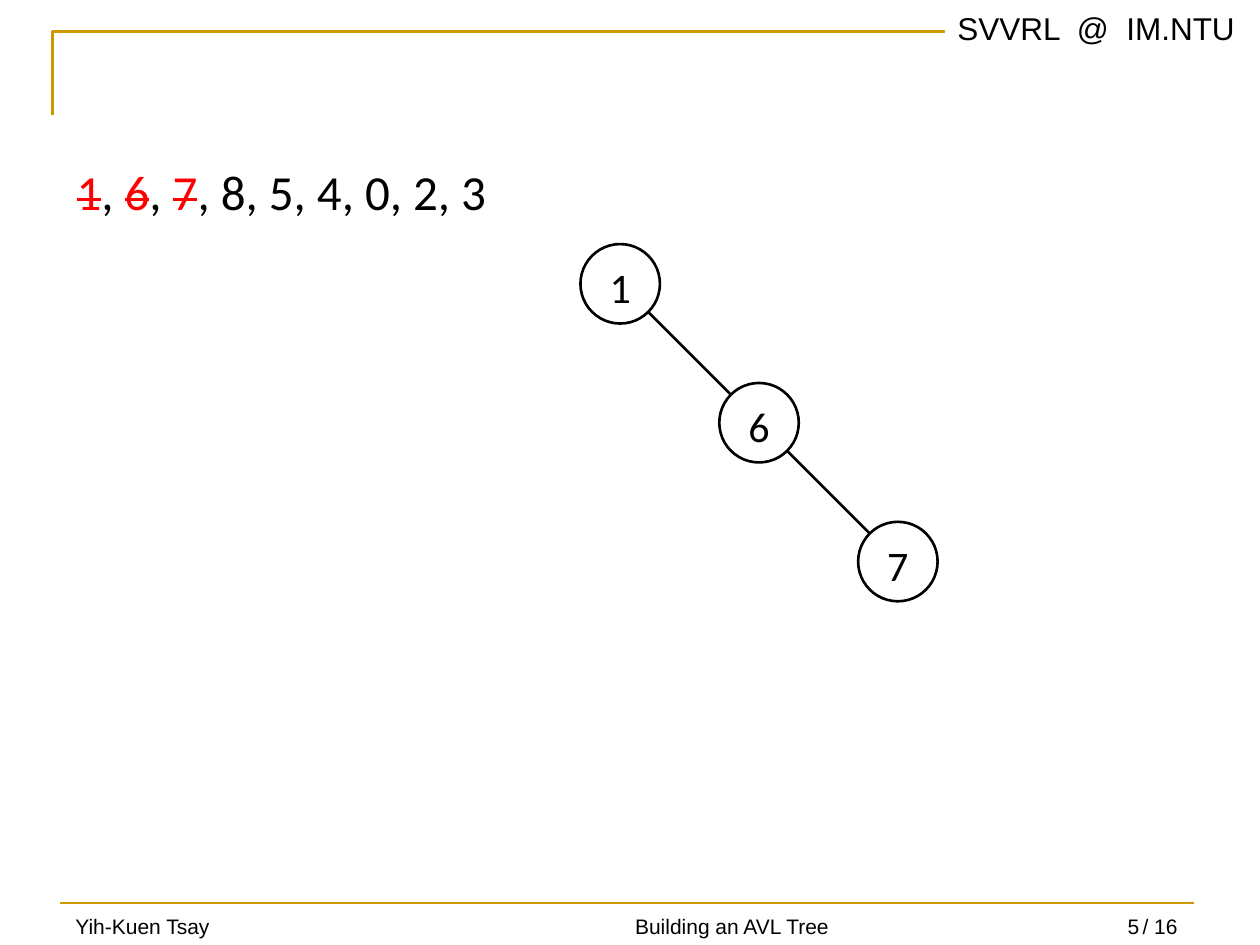
import math

import pptx
import pptx.dml.color
import pptx.enum.shapes
import pptx.enum.text
import pptx.oxml.ns
import pptx.util
from lxml import etree

Pt = pptx.util.Pt
RGB = pptx.dml.color.RGBColor.from_string
ALIGN = pptx.enum.text.PP_ALIGN
ANCHOR = pptx.enum.text.MSO_ANCHOR

INSERTED = ["1", "6", "7"]
PENDING = ["8", "5", "4", "0", "2", "3"]
HEADER = "SVVRL  @  IM.NTU"
# text, left, top, width, height, alignment, anchor, wrap
FOOTERS = [
    ("/ 16", 645.8, 518.4, 34.6, 21.6, ALIGN.LEFT, ANCHOR.TOP, False),
    ("Yih-Kuen Tsay", 36, 516, 178, 24, ALIGN.LEFT, ANCHOR.BOTTOM, True),
    ("Building an AVL Tree", 224.6, 516, 387.4, 24, ALIGN.CENTER, ANCHOR.BOTTOM, True),
    ("5", 622.8, 516, 35.3, 24, ALIGN.RIGHT, ANCHOR.BOTTOM, True),
]
CORNER_RULE = [(30, 66), (30, 18), (678, 18)]
FOOTER_RULE = [(34.5, 516), (682.5, 516)]

ROOT_CENTER = (354.4, 162.2)
NODE_STEP = 79.35
NODE_SIZE = 45.4

THEME = {
    "rule": "CC9900", "ink": "000000", "paper": "FFFFFF", "done": "FF0000",
    "frame_font": "Arial", "body_font": "Calibri",
    "header": 18, "footer": 12, "keys": 28, "node": 24, "line": 1.5,
}

deck = pptx.Presentation()
deck.slide_width, deck.slide_height = Pt(720), Pt(540)
slide = deck.slides.add_slide(deck.slide_layouts[6])
shapes = slide.shapes


def set_font(font, family, size, color="ink"):
    """Apply theme font, size and colour."""
    font.name = THEME[family]
    font.size = Pt(THEME[size])
    font.color.rgb = RGB(THEME[color])


def write(shape, text, family, size, align=ALIGN.LEFT, anchor=ANCHOR.TOP, wrap=True):
    """Put one paragraph of text into a shape."""
    frame = shape.text_frame
    frame.word_wrap = wrap
    frame.vertical_anchor = anchor
    paragraph = frame.paragraphs[0]
    paragraph.text = text
    paragraph.alignment = align
    set_font(paragraph.font, family, size)


def outline(shape, color):
    """Give a shape or connector its theme line."""
    shape.line.color.rgb = RGB(THEME[color])
    shape.line.width = Pt(THEME["line"])


def add_line(start, end, color):
    """Draw a straight line without shadow."""
    line = shapes.add_connector(
        pptx.enum.shapes.MSO_CONNECTOR.STRAIGHT, *(Pt(v) for v in (*start, *end)))
    outline(line, color)
    etree.SubElement(line._element.spPr, pptx.oxml.ns.qn("a:effectLst"))


def add_frame():
    """Draw the rules, header and footer."""
    start, *rest = [(Pt(x), Pt(y)) for x, y in CORNER_RULE]
    builder = shapes.build_freeform(*start)
    builder.add_line_segments(rest, close=False)
    corner = builder.convert_to_shape()
    corner.shadow.inherit = False
    corner.fill.background()
    outline(corner, "rule")
    add_line(*FOOTER_RULE, "rule")

    header = shapes.add_shape(pptx.enum.shapes.MSO_SHAPE.RECTANGLE,
                              Pt(540), Pt(1.5), Pt(180), Pt(28.8))
    header.shadow.inherit = False
    header.fill.solid()
    header.fill.fore_color.rgb = RGB(THEME["paper"])
    header.line.fill.background()
    write(header, HEADER, "frame_font", "header", anchor=ANCHOR.MIDDLE)

    for text, left, top, width, height, align, anchor, wrap in FOOTERS:
        footer = shapes.add_textbox(Pt(left), Pt(top), Pt(width), Pt(height))
        write(footer, text, "frame_font", "footer", align, anchor, wrap)


def add_keys():
    """List the keys, striking out those already inserted."""
    keys = shapes.add_textbox(Pt(36.7), Pt(88.6), Pt(252), Pt(41))
    keys.text_frame.word_wrap = False
    paragraph = keys.text_frame.paragraphs[0]
    set_font(paragraph.font, "body_font", "keys")
    for key in INSERTED:
        done = paragraph.add_run()
        done.text = key
        done.font.color.rgb = RGB(THEME["done"])
        done._r.get_or_add_rPr().set("strike", "sngStrike")
        paragraph.add_run().text = ", "
    paragraph.runs[-1].text += ", ".join(PENDING)


def add_tree():
    """Draw the inserted keys as a chain of right children."""
    radius = NODE_SIZE / 2
    reach = radius * math.sqrt(0.5)
    for depth, key in enumerate(INSERTED):
        x, y = (c + depth * NODE_STEP for c in ROOT_CENTER)
        node = shapes.add_shape(pptx.enum.shapes.MSO_SHAPE.OVAL, Pt(x - radius),
                                Pt(y - radius), Pt(NODE_SIZE), Pt(NODE_SIZE))
        node.shadow.inherit = False
        node.fill.background()
        outline(node, "ink")
        write(node, key, "body_font", "node", ALIGN.CENTER, wrap=False)
        if depth:
            far = NODE_STEP - reach
            add_line((x - far, y - far), (x - reach, y - reach), "ink")


add_frame()
add_keys()
add_tree()
deck.save("out.pptx")
